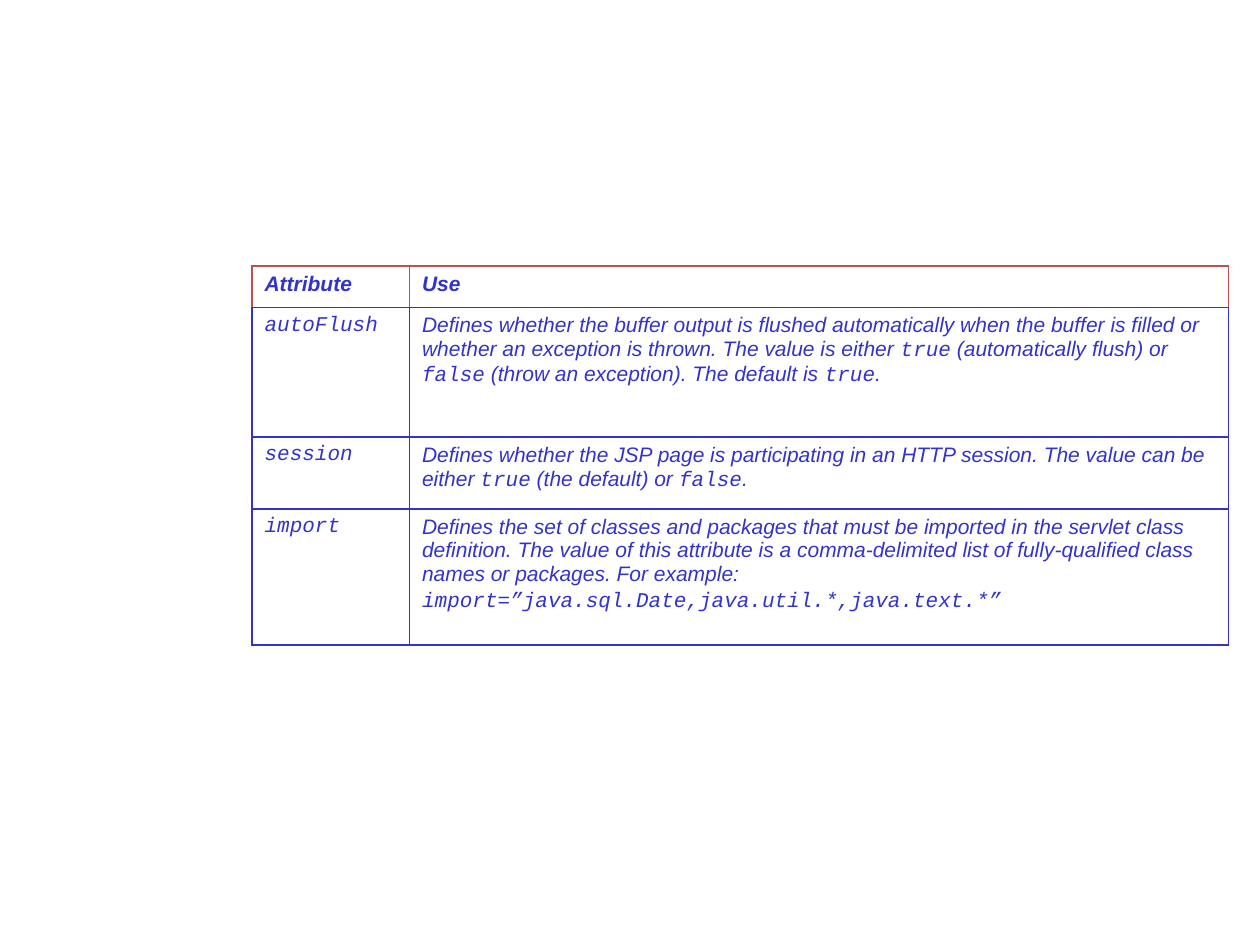
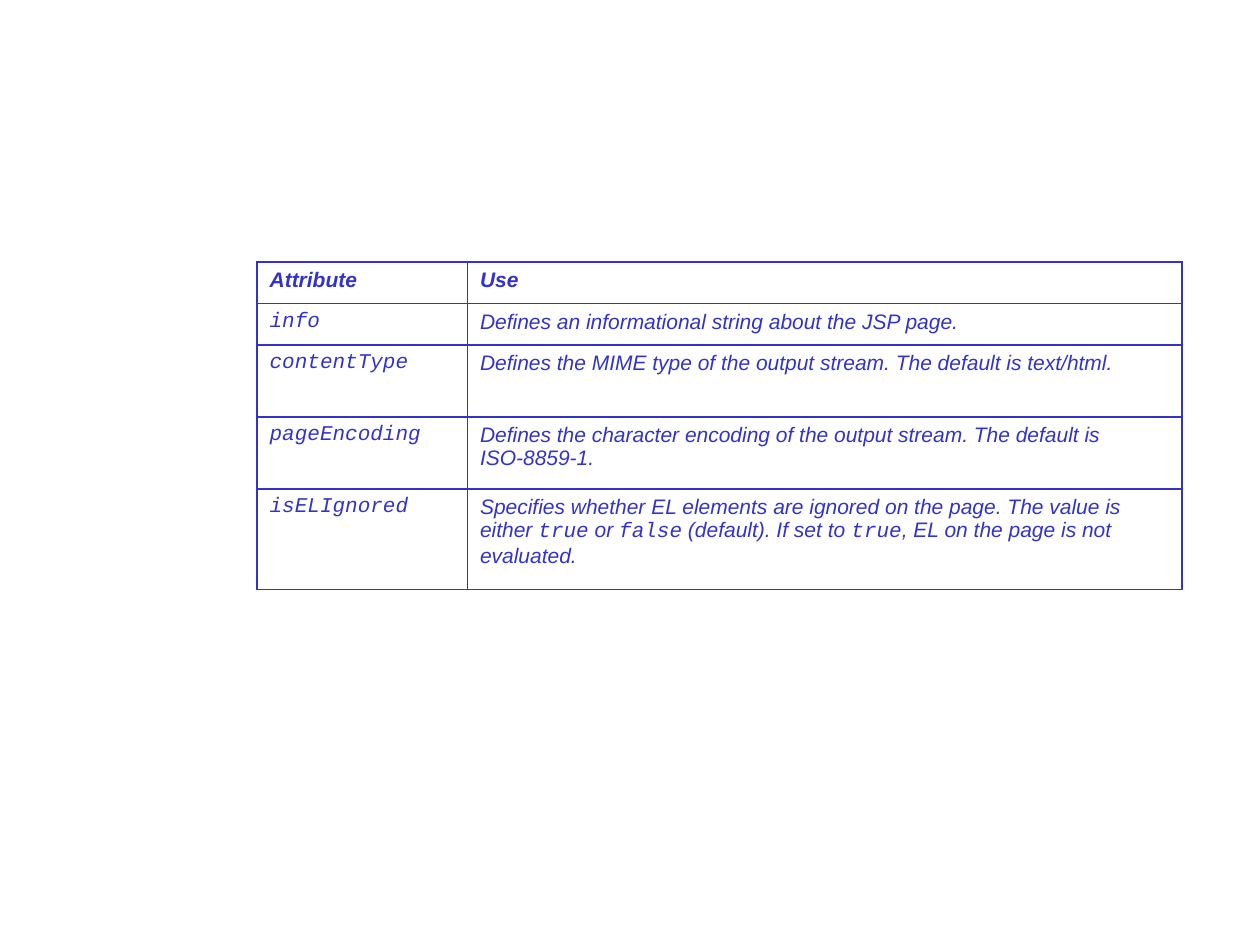
"""Build two slides with tables of JSP page directive attributes."""
from dataclasses import dataclass

from lxml.etree import SubElement
from pptx import Presentation
from pptx.dml.color import RGBColor
from pptx.oxml.ns import qn
from pptx.slide import Slide
from pptx.table import _Cell
from pptx.util import Inches, Pt


@dataclass(frozen=True)
class Theme:
    """Colours, fonts and sizes shared by the slides."""
    ink: str = "3333CC"
    accent: str = "C0504D"
    body_font: str = "Arial"
    code_font: str = "Courier New"
    text_size: float = 12
    paragraph_gap: float = 2.4
    border_width: float = 1


@dataclass(frozen=True)
class AttributeTable:
    """One table: place, sizes, header edge colour and rows, with code in backticks."""
    left: float
    top: float
    columns: tuple[float, ...]
    heights: tuple[float, ...]
    header_edge: str
    rows: tuple[tuple[str, str], ...]


THEME = Theme()
HEADER = ("Attribute", "Use")
TABLES = (
    AttributeTable(2, 2.11, (1.25, 6.5), (0.33, 1.03, 0.57, 1.08), THEME.accent, (
        ("`autoFlush`", "Defines whether the buffer output is flushed automatically when the "
         "buffer is filled or whether an exception is thrown. The value is either `true` "
         "(automatically flush) or `false` (throw an exception). The default is `true`."),
        ("`session`", "Defines whether the JSP page is participating in an HTTP session. "
         "The value can be either `true` (the default) or `false`."),
        ("`import`", "Defines the set of classes and packages that must be imported in the "
         "servlet class definition. The value of this attribute is a comma-delimited list "
         "of fully-qualified class names or packages. For example:\n"
         "`import=”java.sql.Date,java.util.*,java.text.*”`"),
    )),
    AttributeTable(2.04, 2.08, (1.67, 5.67), (0.33, 0.33, 0.57, 0.57, 0.8), THEME.ink, (
        ("`info`", "Defines an informational string about the JSP page."),
        ("`contentType`", "Defines the MIME type of the output stream. "
         "The default is text/html."),
        ("`pageEncoding`", "Defines the character encoding of the output stream. "
         "The default is ISO-8859-1."),
        ("`isELIgnored`", "Specifies whether EL elements are ignored on the page. The value "
         "is either `true` or `false` (default). If set to `true`, EL on the page is not "
         "evaluated."),
    )),
)


def set_borders(cell: _Cell, edge: str) -> None:
    """Draw the four cell borders, with the bottom one always in ink."""
    properties = cell._tc.get_or_add_tcPr()
    for tag, color in {"lnL": edge, "lnR": edge, "lnT": edge, "lnB": THEME.ink}.items():
        line = SubElement(properties, qn(f"a:{tag}"), w=str(Pt(THEME.border_width)))
        SubElement(SubElement(line, qn("a:solidFill")), qn("a:srgbClr"), val=color)


def write_cell(cell: _Cell, text: str, bold: bool) -> None:
    """Write the paragraphs of a cell, switching font at each backtick."""
    frame = cell.text_frame
    for index, content in enumerate(text.split("\n")):
        para = frame.add_paragraph() if index else frame.paragraphs[0]
        if index:
            para.space_before = Pt(THEME.paragraph_gap)
        for position, piece in enumerate(content.split("`")):
            if not piece:
                continue
            span = para.add_run()
            span.text = piece
            font_format = {
                "name": THEME.code_font if position % 2 else THEME.body_font,
                "size": Pt(THEME.text_size),
                "bold": bold,
                "italic": True,
            }
            for name, value in font_format.items():
                setattr(span.font, name, value)
            span.font.color.rgb = RGBColor.from_string(THEME.ink)


def draw_table(page: Slide, content: AttributeTable) -> None:
    """Add one attribute table to a slide."""
    rows = (HEADER, *content.rows)
    table = page.shapes.add_table(
        len(rows), len(HEADER), Inches(content.left), Inches(content.top),
        Inches(sum(content.columns)), Inches(sum(content.heights))).table
    table.first_row = table.horz_banding = False
    for column, width in zip(table.columns, content.columns):
        column.width = Inches(width)
    for row, height in zip(table.rows, content.heights):
        row.height = Inches(height)
    for row_index, texts in enumerate(rows):
        is_header = row_index == 0
        for column_index, text in enumerate(texts):
            cell = table.cell(row_index, column_index)
            set_borders(cell, content.header_edge if is_header else THEME.ink)
            cell.fill.background()
            write_cell(cell, text, is_header)


def main() -> None:
    """Build and save the deck."""
    deck = Presentation()
    deck.slide_width, deck.slide_height = Inches(10), Inches(7.5)
    for content in TABLES:
        draw_table(deck.slides.add_slide(deck.slide_layouts[6]), content)
    deck.save("out.pptx")


if __name__ == "__main__":
    main()
